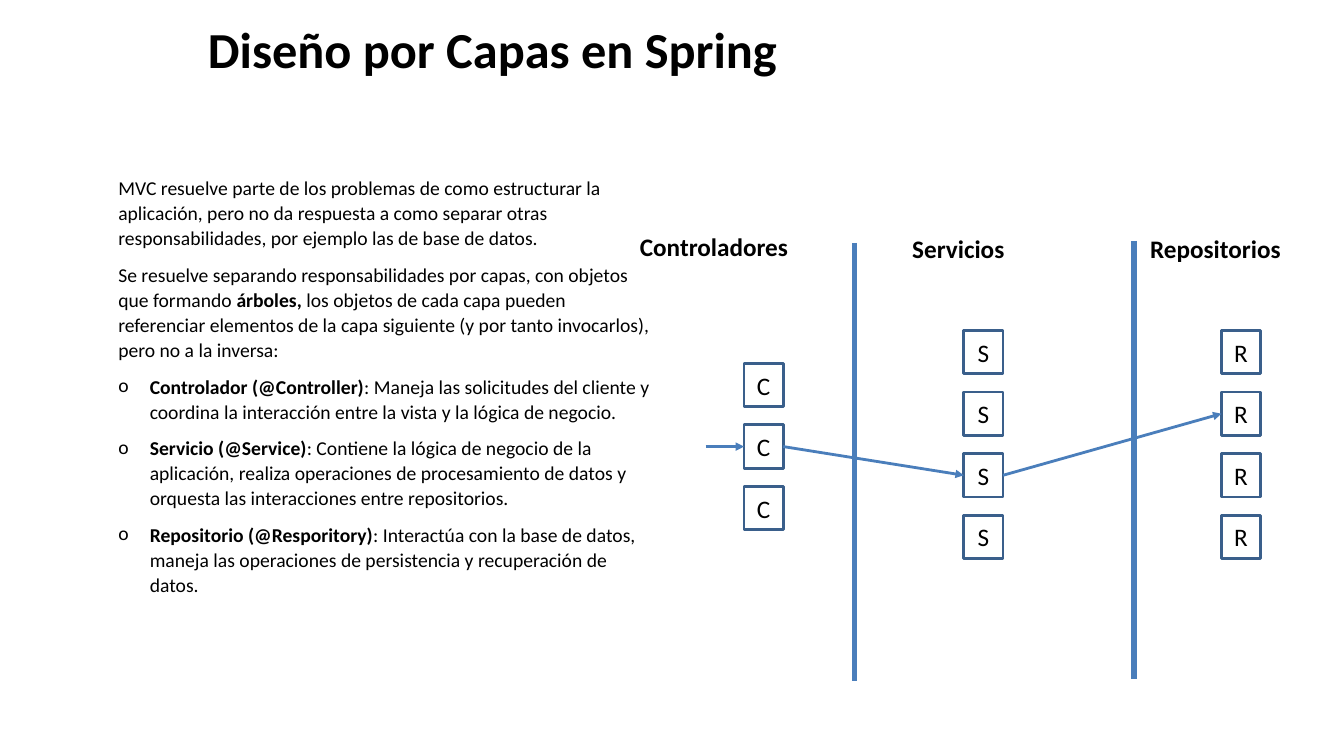
from pptx import Presentation
from pptx.dml.color import RGBColor
from pptx.enum.shapes import MSO_CONNECTOR as CONN, MSO_SHAPE as SHAPE
from pptx.enum.text import MSO_ANCHOR as ANCHOR, MSO_AUTO_SIZE as AUTO, PP_ALIGN as ALIGN
from pptx.oxml.ns import qn
from pptx.util import Pt
from lxml.etree import SubElement

FONT, BLACK, WHITE = "Calibri", "000000", "FFFFFF"
LINE_BLUE, BOX_BLUE = "4A7EBB", "3A5F8B"

TITLE = "Diseño por Capas en Spring"
# Each paragraph: bulleted, [(text, bold), ...]
BODY = [
    (False, [("MVC resuelve parte de los problemas de como estructurar la aplicación, "
              "pero no da respuesta a como separar otras responsabilidades, "
              "por ejemplo las de base de datos.", False)]),
    (False, [("Se resuelve separando responsabilidades por capas, con objetos que formando ", False),
             ("árboles, ", True),
             ("los objetos de cada capa pueden referenciar elementos de la capa siguiente "
              "(y por tanto invocarlos), pero no a la inversa:", False)]),
    (True, [("Controlador (@Controller)", True),
            (": Maneja las solicitudes del cliente y coordina la interacción "
             "entre la vista y la lógica de negocio.", False)]),
    (True, [("Servicio (@Service)", True),
            (": Contiene la lógica de negocio de la aplicación, realiza operaciones de "
             "procesamiento de datos y orquesta las interacciones entre repositorios.", False)]),
    (True, [("Repositorio (@Resporitory)", True),
            (": Interactúa con la base de datos, maneja las operaciones de persistencia "
             "y recuperación de datos.", False)]),
]
# Each layer: heading, (left, top, width), letter, box left, first box top, boxes
LAYERS = [
    ("Controladores", (450, 161.5, 157.5), "C", 531.5, 259.5, 3),
    ("Servicios", (644.5, 163, 106), "S", 688.5, 236, 4),
    ("Repositorios", (814.5, 163, 141), "R", 872.5, 236, 4),
]
DIVIDERS = [(610.5, 173.5), (810, 172)]
DIVIDER_H = 313
BOX_W, BOX_H, BOX_PITCH = 28, 31, 44
CALLS = [(0, 1), (1, 2), (2, 1)]  # (layer, box) visited by the request
ENTRY_X = 504
LEFT_SITE, RIGHT_SITE = 1, 3


def rgb(color):
    return RGBColor.from_string(color)


def add_run(p, text, size, bold=False):
    r = p.add_run()
    r.text = text
    r.font.name, r.font.size, r.font.bold = FONT, Pt(size), bold
    r.font.color.rgb = rgb(BLACK)


def set_margins(tf, x, y):
    tf.margin_left = tf.margin_right = Pt(x)
    tf.margin_top = tf.margin_bottom = Pt(y)


def place(sp, left, top, width, height):
    sp.left, sp.top, sp.width, sp.height = Pt(left), Pt(top), Pt(width), Pt(height)


def set_indent(p, left, first):
    pPr = p._p.get_or_add_pPr()
    pPr.set("marL", str(Pt(left)))
    pPr.set("indent", str(Pt(first)))
    return pPr


def add_line(shapes, start, end, width, arrow=False):
    cx = shapes.add_connector(CONN.STRAIGHT, *(Pt(v) for v in start + end))
    cx.line.color.rgb = rgb(LINE_BLUE)
    cx.line.width = Pt(width)
    if arrow:
        SubElement(cx.line._get_or_add_ln(), qn("a:tailEnd"), type="triangle")
    SubElement(cx._element.spPr, qn("a:effectLst"))
    return cx


def add_box(shapes, letter, left, top):
    sp = shapes.add_shape(SHAPE.RECTANGLE, Pt(left), Pt(top), Pt(BOX_W), Pt(BOX_H))
    sp.shadow.inherit = False
    sp.fill.solid()
    sp.fill.fore_color.rgb = rgb(WHITE)
    sp.line.color.rgb = rgb(BOX_BLUE)
    sp.line.width = Pt(2)
    tf = sp.text_frame
    tf.vertical_anchor = ANCHOR.MIDDLE
    p = tf.paragraphs[0]
    p.alignment = ALIGN.CENTER
    add_run(p, letter, 18)
    return sp


def add_title(slide):
    sp = slide.shapes.title
    place(sp, 148.5, 13, 715.5, 44)
    tf = sp.text_frame
    set_margins(tf, 0, 0)
    tf.auto_size = AUTO.NONE
    tf.vertical_anchor = ANCHOR.TOP
    p = tf.paragraphs[0]
    p.alignment = ALIGN.LEFT
    add_run(p, TITLE, 36, True)


def add_body(shapes):
    tf = shapes.add_textbox(Pt(48.5), Pt(124.5), Pt(417.5), Pt(363.5)).text_frame
    tf.word_wrap = True
    set_margins(tf, 0, 0)
    for i, (bulleted, runs) in enumerate(BODY):
        p = tf.add_paragraph() if i else tf.paragraphs[0]
        p.line_spacing, p.space_after = 1.07, Pt(8)
        if bulleted:
            p.level = 1
            pPr = set_indent(p, 58.5, -22.5)
            SubElement(pPr, qn("a:buFont"), typeface=FONT)
            SubElement(pPr, qn("a:buChar"), char="o")
        else:
            set_indent(p, 36, 0)
        for text, bold in runs:
            add_run(p, text, 14, bold)


def add_heading(shapes, text, left, top, width):
    tf = shapes.add_textbox(Pt(left), Pt(top), Pt(width), Pt(29)).text_frame
    tf.word_wrap = False
    tf.auto_size = AUTO.SHAPE_TO_FIT_TEXT
    add_run(tf.paragraphs[0], text, 18, True)


def add_layers(shapes):
    for x, y in DIVIDERS:
        add_line(shapes, (x, y), (x, y + DIVIDER_H), 4)
    boxes = []
    for heading, area, letter, left, top, count in LAYERS:
        add_heading(shapes, heading, *area)
        boxes.append([add_box(shapes, letter, left, top + i * BOX_PITCH) for i in range(count)])

    visited = [boxes[layer][i] for layer, i in CALLS]
    entry = visited[0]
    y = (entry.top + entry.height / 2) / Pt(1)
    cx = add_line(shapes, (ENTRY_X, y), (entry.left / Pt(1), y), 0, arrow=True)
    cx.end_connect(entry, LEFT_SITE)
    for caller, callee in zip(visited, visited[1:]):
        cx = add_line(shapes, (0, 0), (0, 0), 0, arrow=True)
        cx.begin_connect(caller, RIGHT_SITE)
        cx.end_connect(callee, LEFT_SITE)


def main():
    prs = Presentation()
    prs.slide_width, prs.slide_height = Pt(960), Pt(540)
    slide = prs.slides.add_slide(prs.slide_layouts[5])
    add_title(slide)
    add_body(slide.shapes)
    add_layers(slide.shapes)
    prs.save("out.pptx")


if __name__ == "__main__":
    main()
